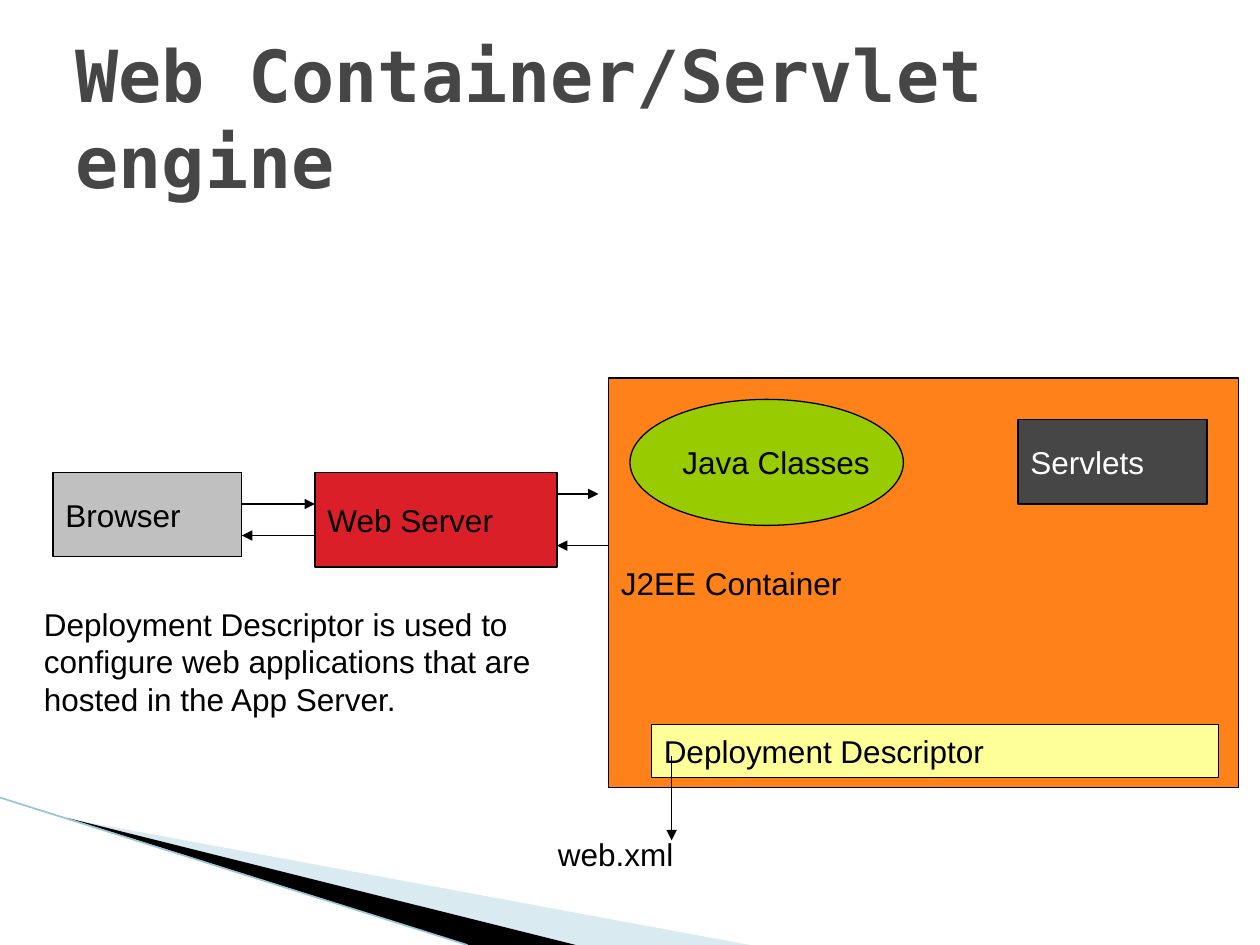
import pptx
import pptx.util
import pptx.dml.color
import pptx.enum.shapes
import pptx.enum.text
import pptx.oxml
import pptx.oxml.ns
from lxml import etree

Inches = pptx.util.Inches
Pt = pptx.util.Pt
SHAPE = pptx.enum.shapes.MSO_SHAPE


class Theme:
    body_font, body_size = "Arial", 18
    title_font, title_size = "DejaVu Sans Mono", 41
    ink, paper, title = "000000", "FFFFFF", "464646"
    container, browser, servlets = "FF8119", "C0C0C0", "464646"
    server, descriptor, classes = "DA1F28", "FFFF99", "99CC00"
    pale_swoosh, swoosh_edge = "A0CBDC", "97C5D8"
    line_width, edge_width = 0.75, 0.95


# Content
TITLE = "Web Container/Servlet engine"
BOXES = [  # text, preset, (left, top, width, height), fill, text colour
    ("J2EE Container", SHAPE.RECTANGLE, (4.83, 3, 5, 3.25), Theme.container, Theme.ink),
    ("Browser", SHAPE.RECTANGLE, (0.42, 3.75, 1.5, 0.67), Theme.browser, Theme.ink),
    ("Servlets", SHAPE.RECTANGLE, (8.08, 3.33, 1.5, 0.67), Theme.servlets, Theme.paper),
    ("Web Server", SHAPE.RECTANGLE, (2.5, 3.75, 1.92, 0.75), Theme.server, Theme.ink),
    ("Deployment Descriptor", SHAPE.RECTANGLE, (5.17, 5.75, 4.5, 0.42), Theme.descriptor, Theme.ink),
    ("Java Classes", SHAPE.OVAL, (5, 3.17, 2.17, 1), Theme.classes, Theme.ink),
]
ARROWS = [  # start, end
    ((1.92, 4), (2.5, 4)),
    ((2.5, 4.25), (1.92, 4.25)),
    ((4.42, 3.92), (4.75, 3.92)),
    ((4.83, 4.33), (4.42, 4.33)),
    ((5.33, 6), (5.33, 6.67)),
]
NOTES = [
    ("web.xml", (4.33, 6.58, 1.83, 0.5)),
    ("Deployment Descriptor is used to configure web applications "
     "that are hosted in the App Server.", (0.25, 4.75, 4.33, 1.7)),
]
SWOOSHES = [  # outline, fill, opacity in percent
    ([(0.55, 6.5), (5.95, 7.5), (4.56, 7.5)], Theme.pale_swoosh, 40),
    ([(0.53, 6.49), (4.57, 7.5), (3.72, 7.5)], Theme.ink, 100),
]
SWOOSH_EDGE = ((0, 6.33), (3.71, 7.5))


def rgb(value):
    return pptx.dml.color.RGBColor.from_string(value)


def inches(values):
    return [Inches(value) for value in values]


def fill_solid(shape, color):
    shape.shadow.inherit = False
    shape.fill.solid()
    shape.fill.fore_color.rgb = rgb(color)


def set_text(shape, text, color, font=Theme.body_font, size=Theme.body_size, bold=False):
    shape.text_frame.text = text
    paragraph = shape.text_frame.paragraphs[0]
    paragraph.alignment = pptx.enum.text.PP_ALIGN.LEFT
    paragraph.font.name = font
    paragraph.font.size = Pt(size)
    paragraph.font.bold = bold
    paragraph.font.color.rgb = rgb(color)


def add_line(slide, start, end, color, width):
    line = slide.shapes.add_connector(
        pptx.enum.shapes.MSO_CONNECTOR.STRAIGHT, *inches(start + end))
    line.line.color.rgb = rgb(color)
    line.line.width = Pt(width)
    etree.SubElement(line._element.spPr, pptx.oxml.ns.qn("a:effectLst"))
    return line


presentation = pptx.Presentation()
presentation.slide_width, presentation.slide_height = Inches(10), Inches(7.5)
slide = presentation.slides.add_slide(presentation.slide_layouts[5])

# Corner decoration
for points, color, opacity in SWOOSHES:
    corners = [tuple(inches(point)) for point in points]
    builder = slide.shapes.build_freeform(*corners[0])
    builder.add_line_segments(corners[1:], close=True)
    swoosh = builder.convert_to_shape()
    fill_solid(swoosh, color)
    swoosh.line.fill.background()
    if opacity < 100:
        fill_color = swoosh._element.spPr.find(".//" + pptx.oxml.ns.qn("a:srgbClr"))
        alpha = etree.SubElement(fill_color, pptx.oxml.ns.qn("a:alpha"))
        alpha.set("val", str(opacity * 1000))
add_line(slide, *SWOOSH_EDGE, Theme.swoosh_edge, Theme.edge_width)

# Title
title = slide.shapes.title
title.left, title.top, title.width, title.height = inches((0.5, 0.3, 9, 1.25))
set_text(title, TITLE, Theme.title, Theme.title_font, Theme.title_size, bold=True)
title.text_frame.auto_size = pptx.enum.text.MSO_AUTO_SIZE.NONE
title.text_frame.vertical_anchor = pptx.enum.text.MSO_ANCHOR.MIDDLE

# Architecture boxes
for text, preset, bounds, fill, color in BOXES:
    box = slide.shapes.add_shape(preset, *inches(bounds))
    fill_solid(box, fill)
    box.line.color.rgb = rgb(Theme.ink)
    box.line.width = Pt(Theme.line_width)
    set_text(box, text, color)
    box.text_frame.word_wrap = False
    box.text_frame.vertical_anchor = pptx.enum.text.MSO_ANCHOR.MIDDLE

# Request and response arrows
for start, end in ARROWS:
    arrow = add_line(slide, start, end, Theme.ink, Theme.line_width)
    head = etree.SubElement(arrow.line._get_or_add_ln(), pptx.oxml.ns.qn("a:tailEnd"))
    head.set("type", "triangle")

# Notes
for text, bounds in NOTES:
    note = slide.shapes.add_textbox(*inches(bounds))
    note.text_frame.word_wrap = True
    set_text(note, text, Theme.ink)

presentation.save("out.pptx")
